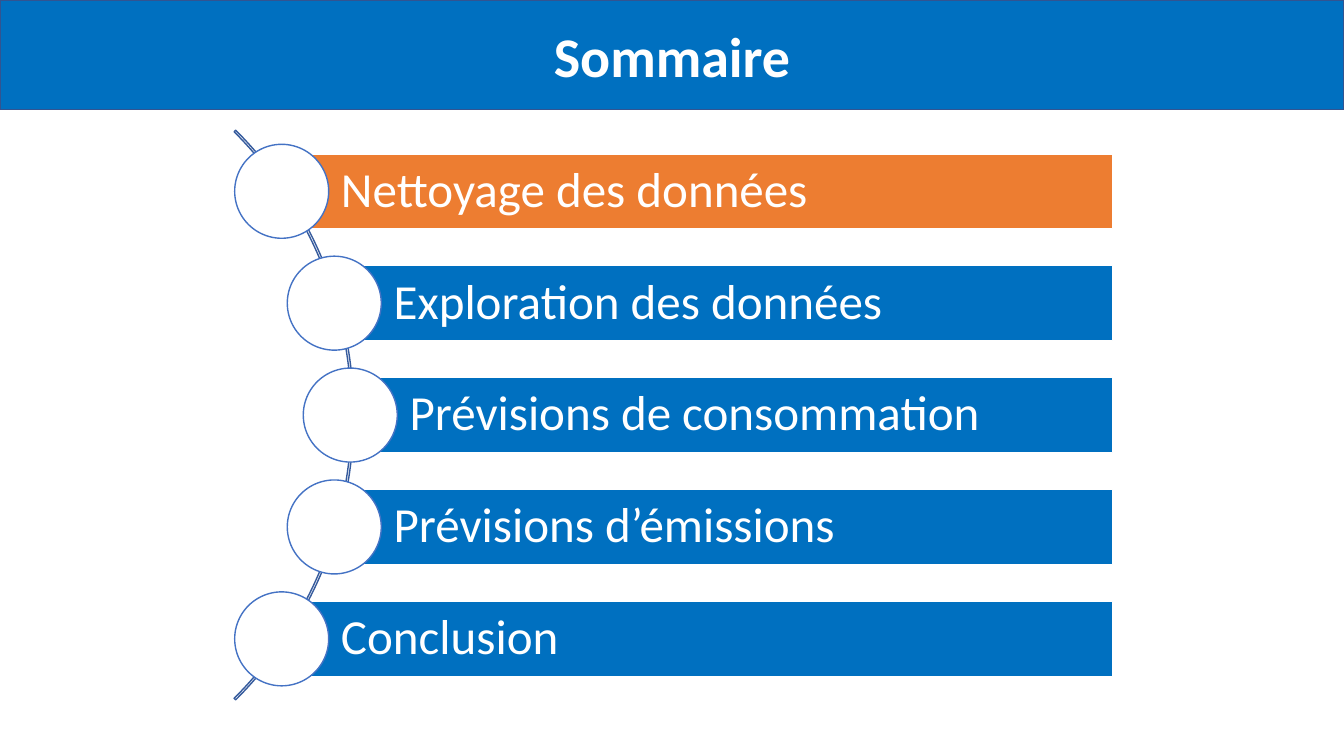
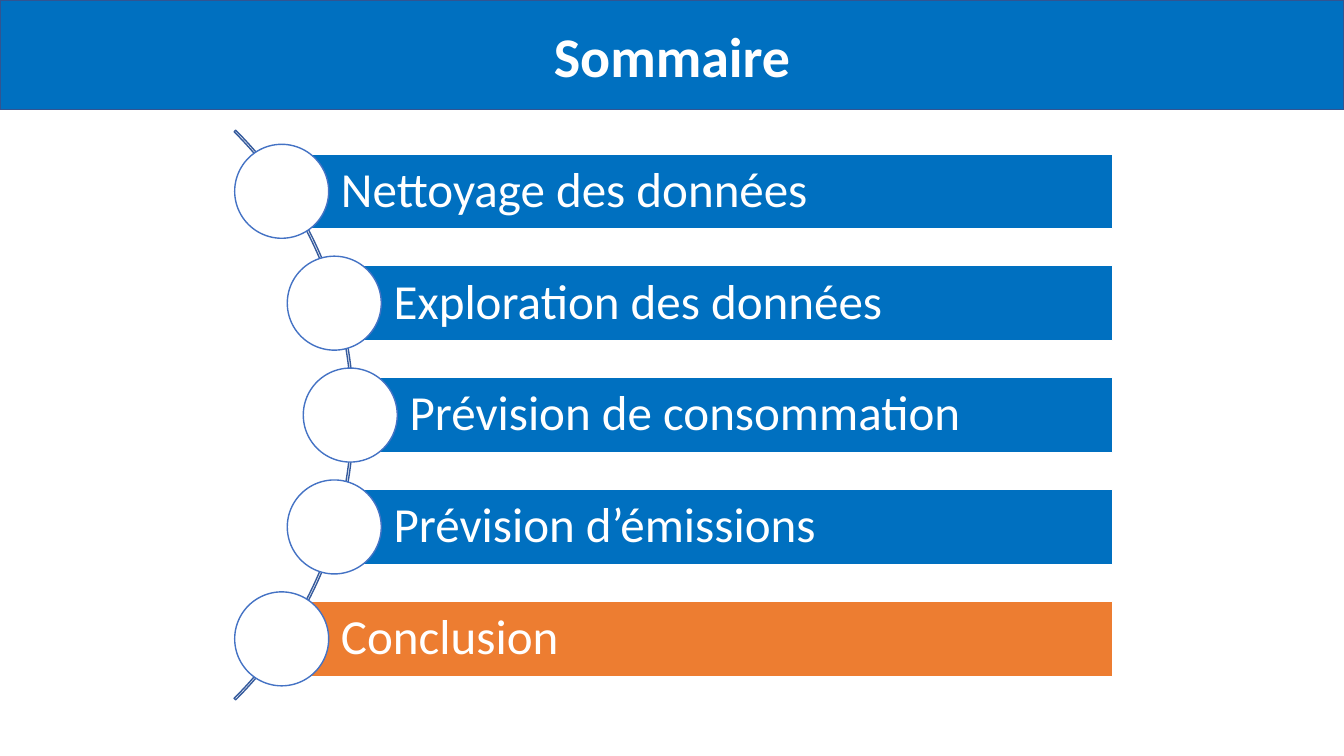
"""Build two agenda slides, each highlighting its current section."""
import dataclasses
import math

import pptx
import pptx.dml.color
import pptx.enum.shapes
import pptx.enum.text
import pptx.util

SHAPES = pptx.enum.shapes.MSO_SHAPE
ALIGN = pptx.enum.text.PP_ALIGN


@dataclasses.dataclass(frozen=True)
class Theme:
    font: str = "Calibri"
    title_size: int = 40
    section_size: int = 35
    line_width: int = 1
    white: str = "FFFFFF"
    blue: str = "0070C0"
    highlight: str = "ED7D31"
    band_edge: str = "325491"
    arc_edge: str = "365B9D"
    disc_edge: str = "4472C4"


theme = Theme()
agendas = [
    (0, ["Nettoyage des données", "Exploration des données",
         "Prévisions de consommation", "Prévisions d’émissions", "Conclusion"]),
    (4, ["Nettoyage des données", "Exploration des données",
         "Prévision de consommation", "Prévision d’émissions", "Conclusion"]),
]

deck = pptx.Presentation()
deck.slide_width = pptx.util.Inches(13.33)
deck.slide_height = pptx.util.Inches(7.5)

row = pptx.util.Inches(1.11)
band_height = 0.98 * row
bar_height = 0.67 * row
bar_right = 9.94 * row
disc_size = 0.84 * row
text_inset = 0.53 * row
arc_x, arc_y = -0.44 * row, 3.71 * row
arc_radius = 3.6 * row
disc_orbit = 3.57 * row


def add_box(shapes, preset, left, top, width, height, fill, edge):
    box = shapes.add_shape(preset, *(round(v) for v in (left, top, width, height)))
    box.shadow.inherit = False
    if fill:
        box.fill.solid()
        box.fill.fore_color.rgb = pptx.dml.color.RGBColor.from_string(fill)
    else:
        box.fill.background()
    box.line.color.rgb = pptx.dml.color.RGBColor.from_string(edge)
    box.line.width = pptx.util.Pt(theme.line_width)
    return box


def write(box, text, size, bold, align):
    box.text_frame.vertical_anchor = pptx.enum.text.MSO_ANCHOR.MIDDLE
    paragraph = box.text_frame.paragraphs[0]
    paragraph.text = text
    paragraph.alignment = align
    paragraph.font.name = theme.font
    paragraph.font.size = pptx.util.Pt(size)
    paragraph.font.bold = bold
    paragraph.font.color.rgb = pptx.dml.color.RGBColor.from_string(theme.white)
    return paragraph


for current, sections in agendas:
    slide = deck.slides.add_slide(deck.slide_layouts[6])
    band = add_box(slide.shapes, SHAPES.FLOWCHART_PROCESS, 0, 0,
                   deck.slide_width, band_height, theme.blue, theme.band_edge)
    write(band, "Sommaire", theme.title_size, True, ALIGN.CENTER)

    agenda = slide.shapes.add_group_shape().shapes
    arc = add_box(agenda, SHAPES.BLOCK_ARC, arc_x - arc_radius, arc_y - arc_radius,
                  2 * arc_radius, 2 * arc_radius, None, theme.arc_edge)
    for index, adjustment in enumerate((189, 27, 0.0027)):
        arc.adjustments[index] = adjustment

    for index, section in enumerate(sections):
        offset = (index - (len(sections) - 1) / 2) * row
        x = arc_x + math.sqrt(disc_orbit ** 2 - offset ** 2)
        y = arc_y + offset
        bar = add_box(agenda, SHAPES.RECTANGLE, x, y - bar_height / 2,
                      bar_right - x, bar_height,
                      theme.highlight if index == current else theme.blue, theme.white)
        bar.text_frame.margin_left = round(text_inset)
        write(bar, section, theme.section_size, False, ALIGN.LEFT).line_spacing = 0.9
        add_box(agenda, SHAPES.OVAL, x - disc_size / 2, y - disc_size / 2,
                disc_size, disc_size, theme.white, theme.disc_edge)

deck.save("out.pptx")
